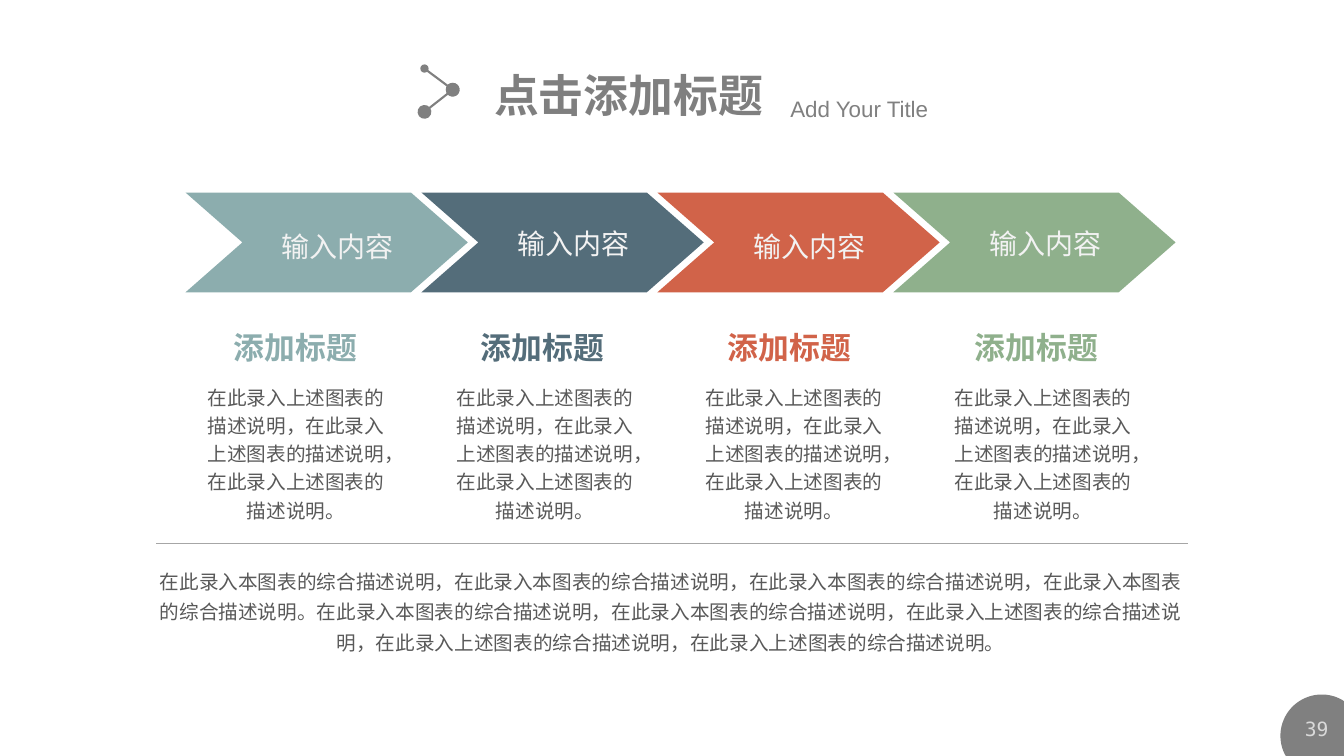
"""Build a four-step chevron slide with captions and a summary."""
import math
from dataclasses import dataclass

from lxml import etree as tree
from pptx import Presentation, util as u
from pptx.dml import color
from pptx.enum import shapes, text
from pptx.oxml import ns


@dataclass(frozen=True)
class Theme:
    """Colours, faces and type sizes."""
    grey: str = "808080"
    head: str = "7F7F7F"
    rule: str = "A6A6A6"
    body: str = "595959"
    light: str = "F2F2F2"
    page: str = "D9D9D9"
    sans: str = "Arial"
    han: str = "Noto Sans CJK SC"
    mono: str = "DejaVu Sans Mono"
    title: int = 32
    name: int = 22
    label: int = 20
    sub: int = 16
    note: int = 14


@dataclass(frozen=True)
class Box:
    """A place on the slide in inches."""
    x: float
    y: float
    w: float
    h: float

    def size(self) -> tuple:
        """Return left, top, width and height as lengths."""
        return tuple(u.Inches(n) for n in (self.x, self.y, self.w, self.h))


@dataclass(frozen=True)
class Style:
    """The look of a text."""
    size: int
    tint: str
    face: str
    bold: bool = False
    mid: bool = True
    lead: float = 1.0
    wrap: bool = True
    anchor: text.MSO_ANCHOR = text.MSO_ANCHOR.TOP


@dataclass(frozen=True)
class Step:
    """One stage of the process."""
    tint: str
    lead: float


@dataclass(frozen=True)
class Link:
    """A line between two points, with optional dot sizes at its ends."""
    x: float
    y: float
    to_x: float
    to_y: float
    tint: str
    width: float
    dots: tuple = ()


T = Theme()
WIDE, HIGH = 13.33, 7.5
STEPS = [Step("8CADAE", 1.2), Step("546D7A", 1.0),
         Step("D16349", 1.2), Step("8FB08C", 1.0)]
LINKS = [Link(1.55, 5.39, 11.78, 5.39, T.rule, 0.5),
         Link(4.21, 0.68, 4.49, 0.89, T.grey, 1.5, ("med", "lg")),
         Link(4.49, 0.89, 4.21, 1.11, T.grey, 1.5, ("lg", "lg"))]
NOTE = "在此录入上述图表的描述说明，在此录入上述图表的描述说明，在此录入上述图表的描述说明。"
SUM = ("在此录入本图表的综合描述说明，在此录入本图表的综合描述说明，"
       "在此录入本图表的综合描述说明，在此录入本图表的综合描述说明。"
       "在此录入本图表的综合描述说明，在此录入本图表的综合描述说明，"
       "在此录入上述图表的综合描述说明，在此录入上述图表的综合描述说明，"
       "在此录入上述图表的综合描述说明。")


def rgb(tint: str) -> color.RGBColor:
    """Turn a hex string into a colour."""
    return color.RGBColor.from_string(tint)


def write(shape, words: str, look: Style) -> None:
    """Put styled words into a shape."""
    frame = shape.text_frame
    frame.text = words
    frame.auto_size = text.MSO_AUTO_SIZE.NONE
    frame.word_wrap = look.wrap
    frame.vertical_anchor = look.anchor
    para = frame.paragraphs[0]
    para.alignment = text.PP_ALIGN.CENTER if look.mid else text.PP_ALIGN.LEFT
    para.line_spacing = look.lead
    font = para.runs[0].font
    font.size, font.bold, font.name = u.Pt(look.size), look.bold, look.face
    font.color.rgb = rgb(look.tint)
    if look.face == T.han:
        east = tree.SubElement(para.runs[0]._r.rPr, ns.qn("a:ea"))
        east.set("typeface", look.face)


def put(slide, box: Box, words: str, look: Style) -> None:
    """Add a text box."""
    write(slide.shapes.add_textbox(*box.size()), words, look)


def paint(shape, tint: str) -> None:
    """Fill a shape flat, without line or shadow."""
    shape.shadow.inherit = False
    shape.fill.solid()
    shape.fill.fore_color.rgb = rgb(tint)
    shape.line.fill.background()


def join(slide, link: Link) -> None:
    """Draw a line and its end dots."""
    ends = [u.Inches(n) for n in (link.x, link.y, link.to_x, link.to_y)]
    line = slide.shapes.add_connector(shapes.MSO_CONNECTOR.STRAIGHT, *ends)
    line.line.color.rgb = rgb(link.tint)
    line.line.width = u.Pt(link.width)
    for tag, dot in zip(("a:headEnd", "a:tailEnd"), link.dots):
        end = tree.SubElement(line.line._get_or_add_ln(), ns.qn(tag))
        for key, val in (("type", "oval"), ("w", dot), ("len", dot)):
            end.set(key, val)
    tree.SubElement(line._element.spPr, ns.qn("a:effectLst"))


def badge(slide) -> None:
    """Draw the page disc, cut at the slide edges, and its number."""
    turns = [math.radians(a) for a in range(0, 360, 3)]
    dots = [(u.Inches(min(13.11 + 0.41 * math.cos(a), WIDE)),
             u.Inches(min(7.3 + 0.41 * math.sin(a), HIGH))) for a in turns]
    form = slide.shapes.build_freeform(*dots[0], scale=1.0)
    form.add_line_segments(dots[1:], close=True)
    paint(form.convert_to_shape(), T.grey)
    put(slide, Box(12.81, 7.07, 0.5, 0.31), "39",
        Style(T.note, T.page, T.mono, wrap=False, anchor=text.MSO_ANCHOR.MIDDLE))


def stage(slide, i: int, step: Step) -> None:
    """Draw one chevron with its label, name and note."""
    left = 1.84 + 2.34 * i
    arrow = slide.shapes.add_shape(shapes.MSO_SHAPE.CHEVRON,
                                   *Box(left, 1.91, 2.8, 0.99).size())
    arrow.adjustments[0] = 0.57
    paint(arrow, step.tint)
    put(slide, Box(left + 0.31, 2.16, 2.4, 0.5), "输入内容",
        Style(T.label, T.light, T.sans, lead=step.lead,
              anchor=text.MSO_ANCHOR.MIDDLE))
    put(slide, Box(2.21 + 2.45 * i, 3.21, 1.44, 0.47), "添加标题",
        Style(T.name, step.tint, T.han, bold=True, wrap=False))
    put(slide, Box(1.9 + 2.47 * i, 3.73, 2.07, 1.52), NOTE,
        Style(T.note, T.body, T.han, lead=1.2))


def main() -> None:
    """Build and save the slide."""
    deck = Presentation()
    deck.slide_width, deck.slide_height = u.Inches(WIDE), u.Inches(HIGH)
    slide = deck.slides.add_slide(deck.slide_layouts[5])
    title = slide.shapes.title
    title.left, title.top, title.width, title.height = Box(4.8, 0.62, 2.9, 0.64).size()
    write(title, "点击添加标题",
          Style(T.title, T.head, T.sans, bold=True, mid=False, wrap=False))
    put(slide, Box(7.74, 0.89, 2.52, 0.37), "Add Your Title",
        Style(T.sub, T.grey, T.sans, mid=False))
    badge(slide)
    for i, step in enumerate(STEPS):
        stage(slide, i, step)
    put(slide, Box(1.39, 5.53, 10.53, 1.02), SUM,
        Style(T.note, T.body, T.han, lead=1.3))
    for link in LINKS:
        join(slide, link)
    deck.save("out.pptx")


if __name__ == "__main__":
    main()
